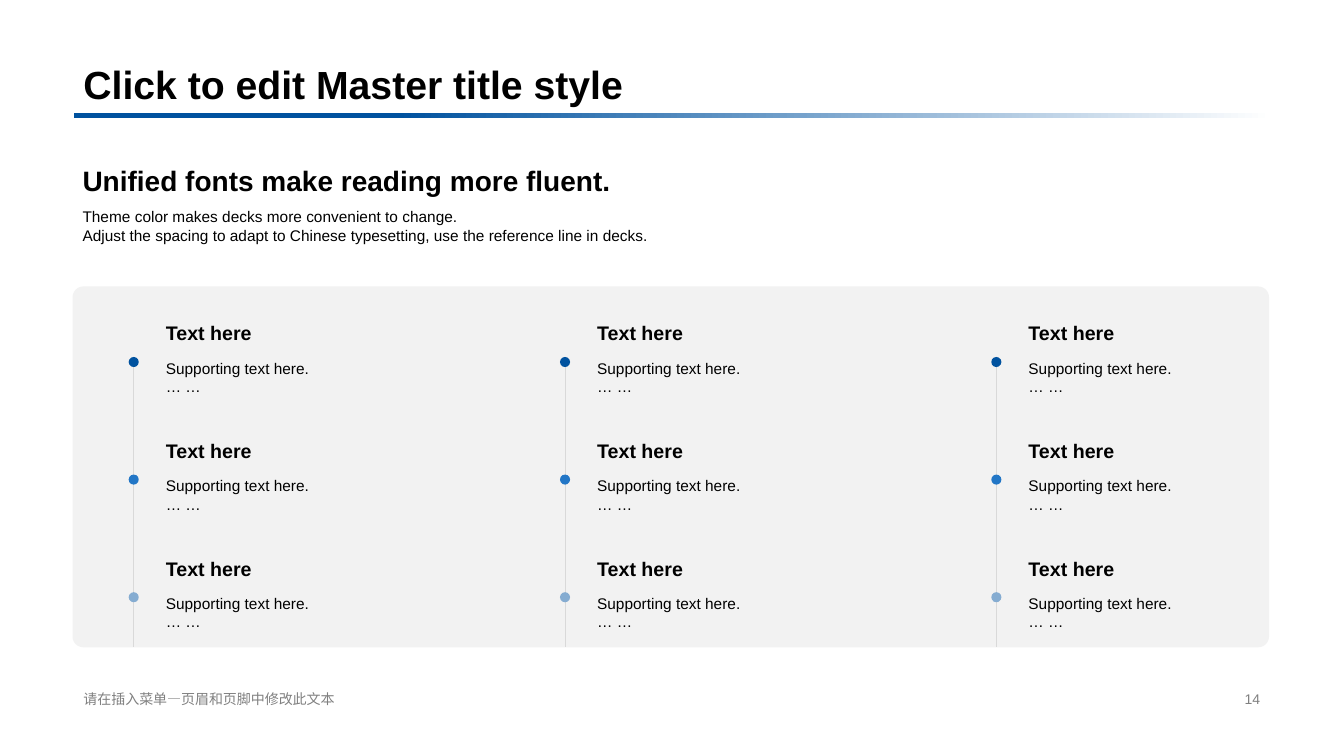
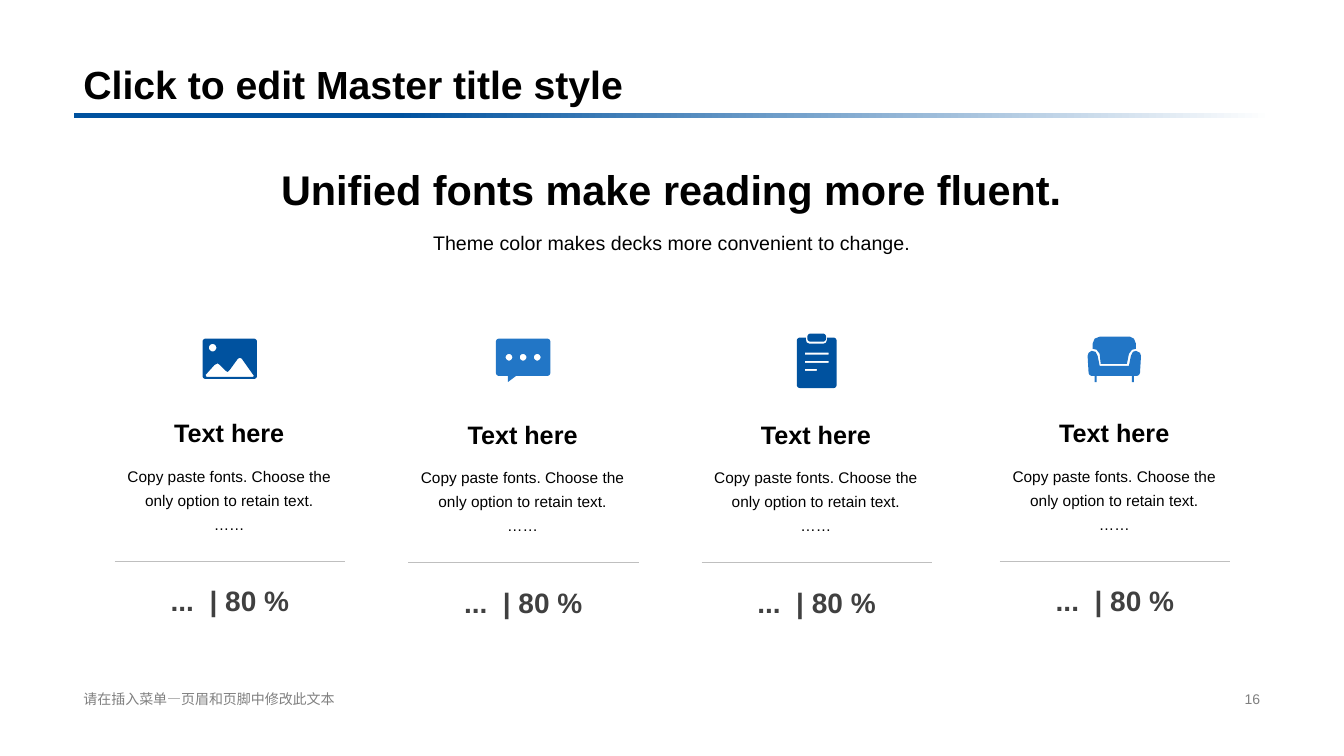
from math import cos, pi, sin

from lxml.etree import SubElement as Sub
from pptx import Presentation as Deck
from pptx.dml.color import RGBColor as Rgb
from pptx.enum.shapes import MSO_CONNECTOR as Link, MSO_SHAPE as Form
from pptx.enum.text import MSO_ANCHOR as Anchor, PP_ALIGN as Align
from pptx.oxml.ns import qn
from pptx.util import Emu, Pt

COLS, ROWS = 160, 90
CELL = 76200
FINE = 10
NAVY, BLUE, PALE = "00529F", "2276C6", "85ACD1"
BLACK, DARK, GREY, WHITE = "000000", "404040", "808080", "FFFFFF"
PANEL, RAIL, RULE = "F2F2F2", "D9D9D9", "BFBFBF"
LEFT, WIDE = 8.76, 142.44


def hue(code):
    return Rgb.from_string(code)


def grid(*cells):
    return [Emu(round(cell * CELL)) for cell in cells]


def arc(x, y, r, start, sweep, steps):
    turns = [start + sweep * i / steps for i in range(steps + 1)]
    return [(x + r * cos(t), y + r * sin(t)) for t in turns]


def disc(x, y, r):
    return arc(x, y, r, 0, 2 * pi, 24)


def box(x, y, w, h, r=0):
    hubs = [(x + r, y + r), (x + w - r, y + r),
            (x + w - r, y + h - r), (x + r, y + h - r)]
    return [p for i, (a, b) in enumerate(hubs)
            for p in arc(a, b, r, pi + i * pi / 2, pi / 2, 4)]


def photo():
    hills = [(39, 26), (37, 25), (35, 26), (27, 37), (25, 39), (23, 38),
             (17, 32), (15, 30.5), (12, 32), (3, 42), (4, 44), (50, 44),
             (51, 43)]
    return [box(0, 6, 54, 40, 3), hills, disc(10, 15, 3.7)]


def chat():
    bubble = box(0, 6, 54, 37, 3)
    bubble[15:15] = [(20, 43), (12, 49), (12, 43)]
    return [bubble] + [disc(x, 24.5, 3.3) for x in (13, 27, 41)]


def clip():
    board = box(7.5, 5, 39.5, 50, 3)
    board[5:5] = [(16.5, 5), (16.5, 7), (17.5, 10), (20, 11),
                  (34, 11), (36.5, 10), (37.5, 7), (37.5, 5)]
    lines = [box(15.5, 20 + 8 * i, w, 2)
             for i, w in enumerate((23.5, 23.5, 12))]
    return [board, box(18, 1, 18.5, 8, 3)] + lines


def sofa():
    seat = [(48, 18), (52, 20), (53, 23), (52, 40), (51, 42), (49, 43),
            (46, 43), (46, 49), (44, 49), (44, 43), (9, 43), (9, 49),
            (7, 49), (7, 43), (4, 43), (2, 42), (1, 40), (0, 23), (1, 20),
            (4, 18), (8, 19), (10, 23), (12, 33), (41, 33), (43, 23),
            (45, 19)]
    back = [(42, 4), (46, 6), (48, 11), (48, 16), (44, 17), (41, 21),
            (39, 31), (13, 31), (12, 21), (9, 17), (5, 16), (5, 11),
            (7, 6), (12, 4)]
    return [seat, back]


class Stage:
    font = "Arial"

    def __init__(self):
        self.deck = Deck()
        self.deck.slide_width, self.deck.slide_height = grid(COLS, ROWS)
        self.slide = None

    def open(self, title, note, page):
        self.slide = self.deck.slides.add_slide(self.deck.slide_layouts[6])
        self.band((LEFT, 13.44, 142.68, 0.6))
        self.text((LEFT, 0, WIDE, 13.44), [title], 28, bold=True,
                  anchor=Anchor.BOTTOM, space=0.9)
        self.text((LEFT, 81.84, 54.36, 2.76), [note], 10, GREY,
                  anchor=Anchor.MIDDLE)
        self.text((113.04, 81.84, 38.16, 2.76), [page], 10, GREY,
                  align=Align.RIGHT, anchor=Anchor.MIDDLE)

    def shape(self, form, area, fill=None):
        item = self.slide.shapes.add_shape(form, *grid(*area))
        self.paint(item, fill)
        return item

    def paint(self, item, fill):
        item.shadow.inherit = False
        item.line.fill.background()
        if fill:
            item.fill.solid()
            item.fill.fore_color.rgb = hue(fill)

    def band(self, area):
        fill = self.shape(Form.RECTANGLE, area).fill
        fill.gradient()
        fill.gradient_angle = 0
        for stop, spot, code in zip(fill.gradient_stops, (0.27, 1),
                                    (NAVY, WHITE)):
            stop.position = spot
            stop.color.rgb = hue(code)

    def dot(self, x, y, fill, size=1.2):
        self.shape(Form.OVAL, (x - size / 2, y - size / 2, size, size), fill)

    def line(self, x, y, to_x, to_y, code, width):
        item = self.slide.shapes.add_connector(
            Link.STRAIGHT, *grid(x, y, to_x, to_y))
        item.line.color.rgb = hue(code)
        item.line.width = Pt(width)
        Sub(item._element.spPr, qn("a:effectLst"))

    def icon(self, x, y, loops, fill):
        fine = [[(a * FINE, b * FINE) for a, b in loop] for loop in loops]
        pen = self.slide.shapes.build_freeform(*fine[0][0],
                                               scale=9144 / FINE)
        for i, loop in enumerate(fine):
            if i:
                pen.move_to(*loop[0])
            pen.add_line_segments(loop[1:], close=True)
        self.paint(pen.convert_to_shape(*grid(x, y)), fill)

    def text(self, area, lines, size, code=BLACK, bold=False,
             align=Align.LEFT, anchor=Anchor.TOP, space=None):
        frame = self.slide.shapes.add_textbox(*grid(*area)).text_frame
        frame.word_wrap = True
        frame.vertical_anchor = anchor
        for i, words in enumerate(lines):
            para = frame.add_paragraph() if i else frame.paragraphs[0]
            para.alignment = align
            if space:
                para.line_spacing = space
            run = para.add_run()
            run.text = words
            run.font.name = self.font
            run.font.size = Pt(size)
            run.font.bold = bold
            run.font.color.rgb = hue(code)

    def step(self, x, y, fill):
        self.dot(x, y, fill)
        self.text((x + 2.64, y - 0.98, 23.16, 6.96),
                  ["Supporting text here.", "… …"], 11)
        self.text((x + 2.64, y - 5.9, 23.16, 4.92), ["Text here"], 14,
                  bold=True, anchor=Anchor.MIDDLE)

    def card(self, x, drop, loops, fill):
        mid = dict(align=Align.CENTER, anchor=Anchor.MIDDLE)
        self.icon(x + 10.8, 39.6, loops, fill)
        self.text((x, 48.36 + drop, 27.96, 6), ["Text here"], 18,
                  bold=True, space=1.1, **mid)
        self.text((x, 54.36 + drop, 27.96, 12.36),
                  ["Copy paste fonts. Choose the only option to retain text.",
                   "……"], 11, align=Align.CENTER, space=1.3)
        rule = 66.8 + drop
        self.line(x + 0.36, rule, x + 27.8, rule, RULE, 0.25)
        self.text((x + 1.4, 67.74 + drop, 25.32, 7.56), ["...  | 80 %"], 20,
                  DARK, bold=True, **mid)


def steps(stage):
    stage.text((8.64, 24.12, 72.96, 8.4),
               ["Theme color makes decks more convenient to change.",
                "Adjust the spacing to adapt to Chinese typesetting, "
                "use the reference line in decks."], 11)
    stage.text((8.64, 18.36, 72.96, 5.64),
               ["Unified fonts make reading more fluent."], 20, bold=True,
               anchor=Anchor.BOTTOM)
    panel = stage.shape(Form.ROUNDED_RECTANGLE, (8.64, 34.1, WIDE, 42.96),
                        PANEL)
    panel.adjustments[0] = 0.03
    for col in range(3):
        x = 15.92 + 51.35 * col
        stage.line(x, 43.1, x, 77.06, RAIL, 0.75)
        for row, fill in enumerate((NAVY, BLUE, PALE)):
            stage.step(x, 43.1 + 14 * row, fill)


def cards(stage):
    stage.text((LEFT, 19.2, WIDE, 6.84),
               ["Unified fonts make reading more fluent."], 29.6, bold=True,
               align=Align.CENTER, anchor=Anchor.BOTTOM)
    stage.text((LEFT, 26.04, WIDE, 6.84),
               ["Theme color makes decks more convenient to change."], 14,
               align=Align.CENTER, space=1.3)
    stage.card(13.32, 0, photo(), NAVY)
    stage.card(48.24, 0.15, chat(), BLUE)
    stage.card(83.16, 0.15, clip(), NAVY)
    stage.card(118.68, 0, sofa(), BLUE)


def main():
    stage = Stage()
    for page, build in (("14", steps), ("16", cards)):
        stage.open("Click to edit Master title style",
                   "请在插入菜单—页眉和页脚中修改此文本", page)
        build(stage)
    stage.deck.save("out.pptx")


if __name__ == "__main__":
    main()
